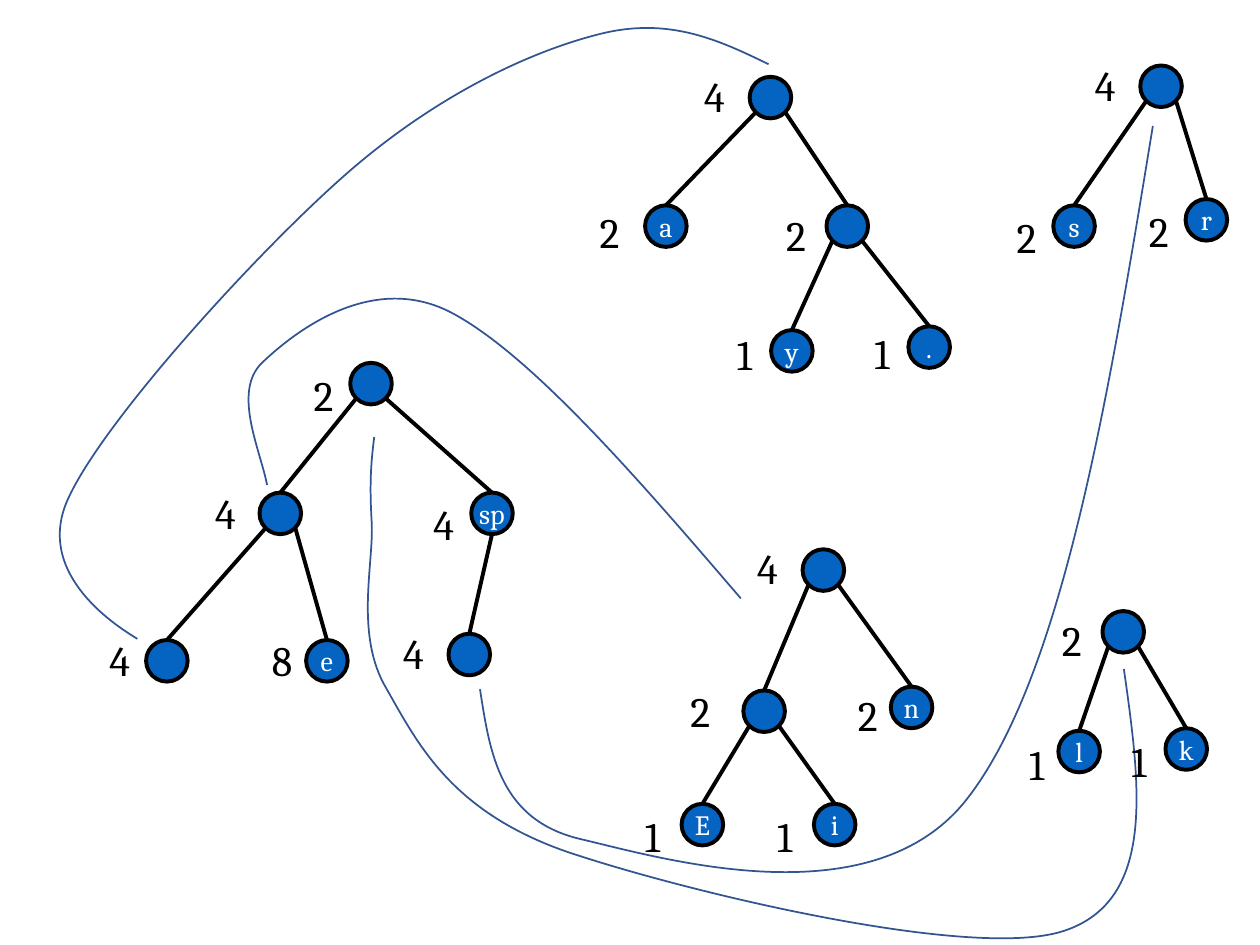
from lxml import etree
from pptx import Presentation
from pptx import util as u
from pptx.dml.color import RGBColor
from pptx.enum import shapes, text
from pptx.oxml.ns import qn

BLUE = RGBColor(0x05, 0x63, 0xC1)
CURVE = RGBColor(0x32, 0x54, 0x91)
BLACK = RGBColor(0, 0, 0)
WHITE = RGBColor(0xFF, 0xFF, 0xFF)
FONT = "Cambria"
SIZE = 0.33
LABEL_W, LABEL_H = 0.39, 0.5
DIAGONAL = 0.12

# Each node: x, y, letter, count, label dx, label dy, parent, side of parent
MAIN_TREE = [
    (2.01, 0, "", "2", -0.39, 0, None, 0),
    (1.29, 1.03, "", "4", -0.45, -0.09, 0, -1),
    (2.97, 1.03, "sp", "4", -0.4, 0, 0, 1),
    (0.39, 2.2, "", "4", -0.39, -0.09, 1, -1),
    (1.66, 2.2, "e", "8", -0.37, -0.09, 1, 1),
    (2.79, 2.15, "", "4", -0.46, -0.1, 2, 0),
]
EIN_TREE = [
    (1.35, 0.1, "", "4", -0.46, -0.1, None, 0),
    (0.88, 1.22, "", "2", -0.52, -0.09, 0, -1),
    (2.05, 1.19, "n", "2", -0.36, -0.03, 0, 1),
    (0.39, 2.12, "E", "1", -0.39, 0, 1, -1),
    (1.44, 2.12, "i", "1", -0.39, 0, 1, 1),
]
LK_TREE = [
    (0.68, 0.02, "", "2", -0.42, -0.02, None, 0),
    (0.33, 0.97, "l", "1", -0.33, 0.01, 0, -1),
    (1.18, 0.95, "k", "1", -0.37, 0.01, 0, 1),
]
AY_TREE = [
    (1.29, 0.1, "", "4", -0.46, -0.1, None, 0),
    (0.46, 1.12, "a", "2", -0.46, -0.04, 0, -1),
    (1.9, 1.12, "", "2", -0.42, -0.02, 0, 1),
    (1.46, 2.11, "y", "1", -0.37, -0.06, 2, -1),
    (2.55, 2.08, ".", "1", -0.37, -0.04, 2, 1),
]
SR_TREE = [
    (1.08, 0.1, "", "4", -0.46, -0.1, None, 0),
    (0.39, 1.21, "s", "2", -0.39, 0, 0, -1),
    (1.44, 1.16, "r", "2", -0.39, 0, 0, 1),
]
CURVES = [
    ((0.48, 0.22, 5.62, 4.85),
     [(6.1, 0.51), (5.71, 0.32), (5.31, 0.13), (4.76, 0.27),
      (4.2, 0.41), (3.46, 0.76), (2.76, 1.37),
      (2.05, 1.99), (0.82, 3.34), (0.54, 3.96),
      (0.26, 4.57), (0.96, 4.99), (1.09, 5.07)]),
    ((1.98, 2.37, 3.91, 2.37),
     [(5.88, 4.75), (5.04, 3.77), (4.19, 2.79), (3.56, 2.47),
      (2.93, 2.16), (2.32, 2.65), (2.08, 2.88),
      (1.84, 3.11), (2.07, 3.58), (2.12, 3.85)]),
    ((2.92, 3.47, 6.1, 3.97),
     [(8.92, 5.31), (9.05, 6.23), (9.18, 7.15), (8.44, 7.39),
      (7.7, 7.63), (5.37, 7.06), (4.47, 6.75),
      (3.58, 6.43), (3.32, 5.91), (3.07, 5.47),
      (2.81, 5.04), (2.97, 4.47), (2.95, 4.14),
      (2.93, 3.8), (2.95, 3.64), (2.97, 3.47)]),
    ((3.81, 1, 5.34, 5.92),
     [(9.15, 1), (8.79, 3.21), (8.42, 5.41), (7.66, 6.36),
      (6.9, 7.3), (5.25, 6.81), (4.61, 6.66),
      (3.97, 6.51), (3.89, 5.99), (3.81, 5.47)]),
]


def add_run(tf, words, size, color):
    p = tf.paragraphs[0]
    r = p.add_run()
    r.text = words
    r.font.size, r.font.name = u.Pt(size), FONT
    r.font.color.rgb = color
    return p


def add_node(parts, x, y, letter):
    sp = parts.add_shape(shapes.MSO_SHAPE.OVAL, u.Inches(x), u.Inches(y),
                         u.Inches(SIZE), u.Inches(SIZE))
    sp.shadow.inherit = False
    sp.fill.solid()
    sp.fill.fore_color.rgb = BLUE
    sp.line.color.rgb = BLACK
    sp.line.width = u.Pt(2.25)
    if letter:
        tf = sp.text_frame
        tf.word_wrap = False
        tf.vertical_anchor = text.MSO_ANCHOR.MIDDLE
        add_run(tf, letter, 16, WHITE).alignment = text.PP_ALIGN.CENTER
    return sp


def add_count(parts, x, y, count):
    sp = parts.add_textbox(u.Inches(x), u.Inches(y), u.Inches(LABEL_W), u.Inches(LABEL_H))
    tf = sp.text_frame
    tf.word_wrap = False
    tf.auto_size = text.MSO_AUTO_SIZE.SHAPE_TO_FIT_TEXT
    add_run(tf, count, 24, BLACK)


def add_edge(parts, child, parent, side):
    drop = DIAGONAL if side else SIZE / 2
    x = parent.left + parent.width // 2 + u.Inches(side * DIAGONAL)
    y = parent.top + parent.height // 2 + u.Inches(drop)
    cx = parts.add_connector(shapes.MSO_CONNECTOR.STRAIGHT, child.left, child.top, x, y)
    cx.begin_connect(child, 0)
    cx.line.color.rgb = BLACK
    cx.line.width = u.Pt(2.25)
    etree.SubElement(cx._element.spPr, qn("a:effectLst"))


def add_tree(parts, left, top, tree):
    nodes = []
    for x, y, letter, count, dx, dy, parent, side in tree:
        x, y = left + x, top + y
        nodes.append(add_node(parts, x, y, letter))
        add_count(parts, x + dx, y + dy, count)
        if parent is not None:
            add_edge(parts, nodes[-1], nodes[parent], side)


def add_curve(parts, box, points):
    left, top, width, height = (u.Inches(v) for v in box)
    builder = parts.build_freeform(*points[0], scale=u.Inches(1))
    builder.add_line_segments(points[3::3], close=False)
    sp = builder.convert_to_shape()
    sp.left, sp.top, sp.width, sp.height = left, top, width, height
    outline = next(sp._element.iter(qn("a:path")))
    outline.set("w", str(width))
    outline.set("h", str(height))
    for step in list(outline):
        outline.remove(step)
    steps = [("a:moveTo", points[:1])]
    steps += [("a:cubicBezTo", points[i:i + 3]) for i in range(1, len(points), 3)]
    for tag, pts in steps:
        step = etree.SubElement(outline, qn(tag))
        for x, y in pts:
            etree.SubElement(step, qn("a:pt"), x=str(u.Inches(x) - left),
                             y=str(u.Inches(y) - top))
    sp.shadow.inherit = False
    sp.fill.background()
    sp.line.color.rgb = CURVE
    sp.line.width = u.Pt(1)


def main():
    prs = Presentation()
    prs.slide_width, prs.slide_height = u.Inches(10), u.Inches(7.5)
    s = prs.slides.add_slide(prs.slide_layouts[6])
    add_tree(s.shapes, 0.77, 2.88, MAIN_TREE)
    for box, points in CURVES:
        add_curve(s.shapes, box, points)
    for left, top, tree in [(5.02, 4.26, EIN_TREE), (8.07, 4.83, LK_TREE),
                            (4.66, 0.51, AY_TREE), (7.97, 0.42, SR_TREE)]:
        add_tree(s.shapes.add_group_shape().shapes, left, top, tree)
    prs.save("out.pptx")


if __name__ == "__main__":
    main()
